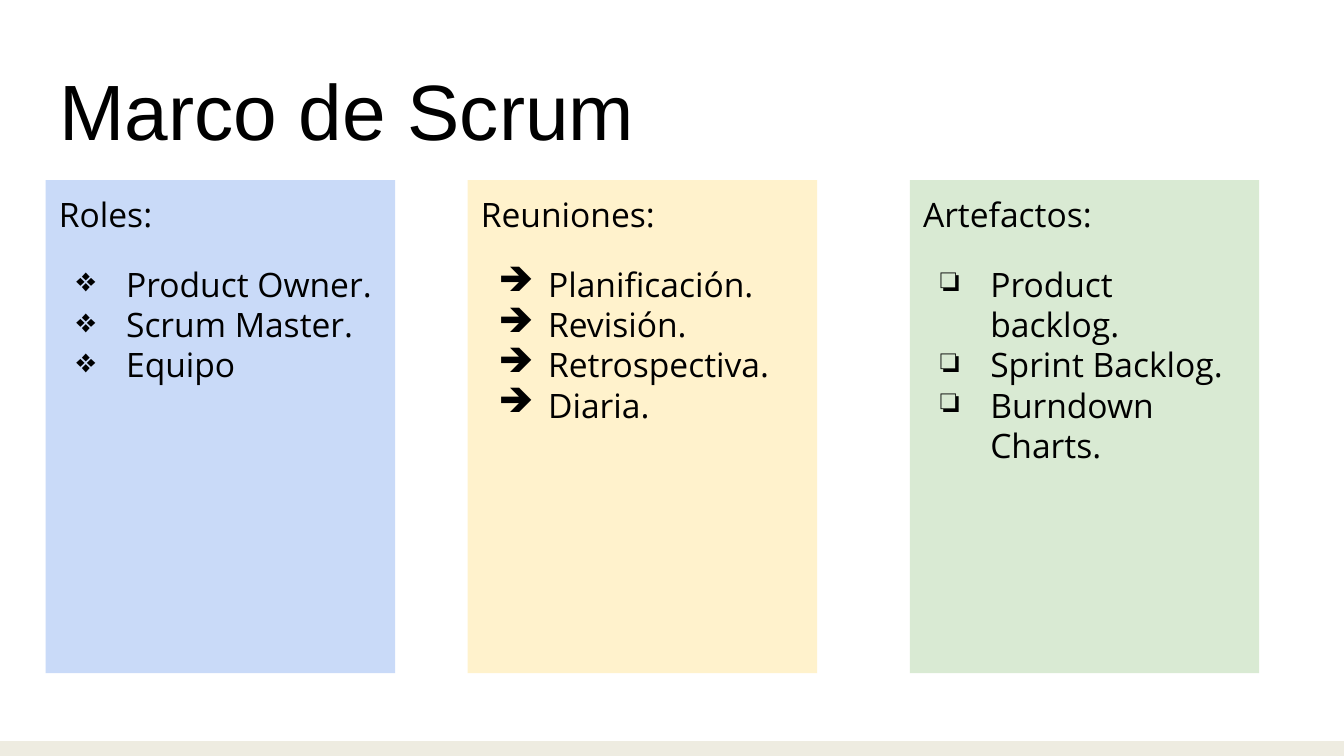
from dataclasses import dataclass

from lxml.etree import SubElement
from pptx import Presentation
from pptx.dml.color import RGBColor
from pptx.enum.shapes import MSO_SHAPE as Preset
from pptx.enum.text import MSO_ANCHOR as Anchor, MSO_AUTO_SIZE as AutoSize, PP_ALIGN as Align
from pptx.oxml.ns import qn
from pptx.util import Inches, Pt

WIDTH = 10
HEIGHT = WIDTH * 9 / 16
MARGIN, INSET = 0.34, 0.1
COLUMN_TOP, COLUMN_WIDTH, COLUMN_HEIGHT = 1.34, 2.6, 3.67
STRIP_HEIGHT = 0.11
COLORS = {
    "text": "000000",
    "strip": "EEECE1",
    "blue": "C9DAF8",
    "yellow": "FFF2CC",
    "green": "D9EAD3",
}


@dataclass(frozen=True)
class Column:
    left: float
    color: str
    heading: str
    bullet: str
    items: tuple[str, ...]


COLUMNS = (
    Column(MARGIN, "blue", "Roles:", "❖", ("Product Owner.", "Scrum Master.", "Equipo")),
    Column(3.48, "yellow", "Reuniones:", "➔",
           ("Planificación.", "Revisión.", "Retrospectiva.", "Diaria.")),
    Column(6.77, "green", "Artefactos:", "❏",
           ("Product backlog.", "Sprint Backlog.", "Burndown Charts.")),
)


def style_frame(frame, anchor) -> None:
    """Give a text frame its insets, wrapping and anchor."""
    frame.margin_left = frame.margin_right = Inches(INSET)
    frame.margin_top = frame.margin_bottom = Inches(INSET)
    frame.word_wrap = True
    frame.auto_size = AutoSize.NONE
    frame.vertical_anchor = anchor


def style_paragraph(paragraph, font: str, size: float) -> None:
    """Align a paragraph left and set its font."""
    paragraph.alignment = Align.LEFT
    paragraph.font.name = font
    paragraph.font.size = Pt(size)
    paragraph.font.color.rgb = RGBColor.from_string(COLORS["text"])


def add_bullet(paragraph, bullet: str) -> None:
    """Give a paragraph a hanging bullet in the text colour."""
    properties = paragraph._p.get_or_add_pPr()
    properties.set("marL", str(Inches(0.5)))
    properties.set("indent", str(Inches(-0.37)))
    bullet_color = SubElement(properties, qn("a:buClr"))
    SubElement(bullet_color, qn("a:srgbClr"), val=COLORS["text"])
    SubElement(properties, qn("a:buChar"), char=bullet)


def add_panel(slide, left: float, top: float, width: float, height: float, color: str):
    """Draw a plain filled rectangle."""
    panel = slide.shapes.add_shape(
        Preset.RECTANGLE, Inches(left), Inches(top), Inches(width), Inches(height))
    panel.shadow.inherit = False
    panel.fill.solid()
    panel.fill.fore_color.rgb = RGBColor.from_string(COLORS[color])
    panel.line.fill.background()
    return panel


def add_title(slide, text: str) -> None:
    """Place and format the slide title."""
    title = slide.shapes.title
    title.left, title.top = Inches(MARGIN), Inches(0.35)
    title.width, title.height = Inches(WIDTH - 2 * MARGIN), Inches(0.91)
    title.text_frame.text = text
    style_frame(title.text_frame, Anchor.BOTTOM)
    style_paragraph(title.text_frame.paragraphs[0], "Arial", 42)


def add_column(slide, column: Column) -> None:
    """Draw a coloured column with its heading and bulleted items."""
    panel = add_panel(
        slide, column.left, COLUMN_TOP, COLUMN_WIDTH, COLUMN_HEIGHT, column.color)
    frame = panel.text_frame
    style_frame(frame, Anchor.TOP)
    frame.text = "\n".join((column.heading, *column.items))
    heading, *items = frame.paragraphs
    style_paragraph(heading, "Open Sans", 18)
    for index, item in enumerate(items):
        style_paragraph(item, "Open Sans", 18)
        item.space_before = Pt(0 if index else 16)
        add_bullet(item, column.bullet)


def main() -> None:
    """Build and save the slide."""
    deck = Presentation()
    deck.slide_width, deck.slide_height = Inches(WIDTH), Inches(HEIGHT)
    slide = deck.slides.add_slide(deck.slide_layouts[5])
    add_panel(slide, 0, HEIGHT - STRIP_HEIGHT, WIDTH, STRIP_HEIGHT, "strip")
    add_title(slide, "Marco de Scrum")
    for column in COLUMNS:
        add_column(slide, column)
    deck.save("out.pptx")


if __name__ == "__main__":
    main()
